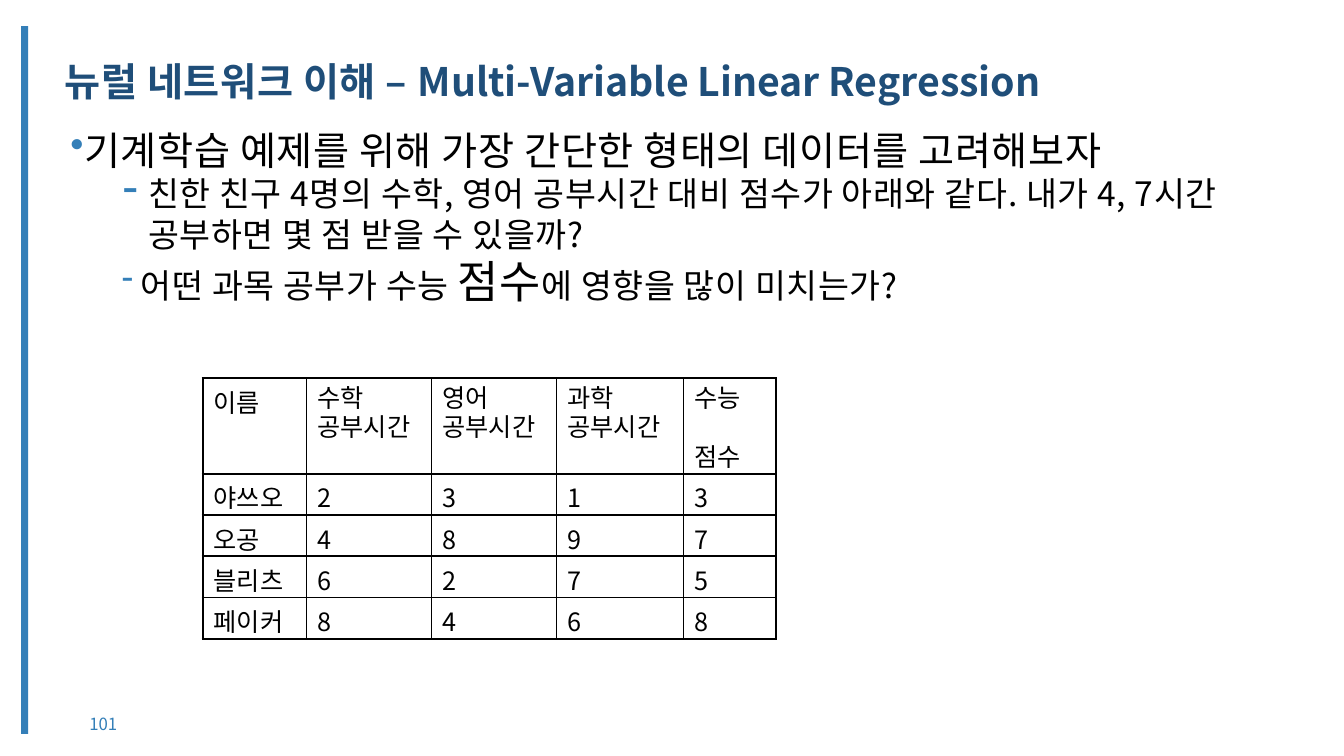
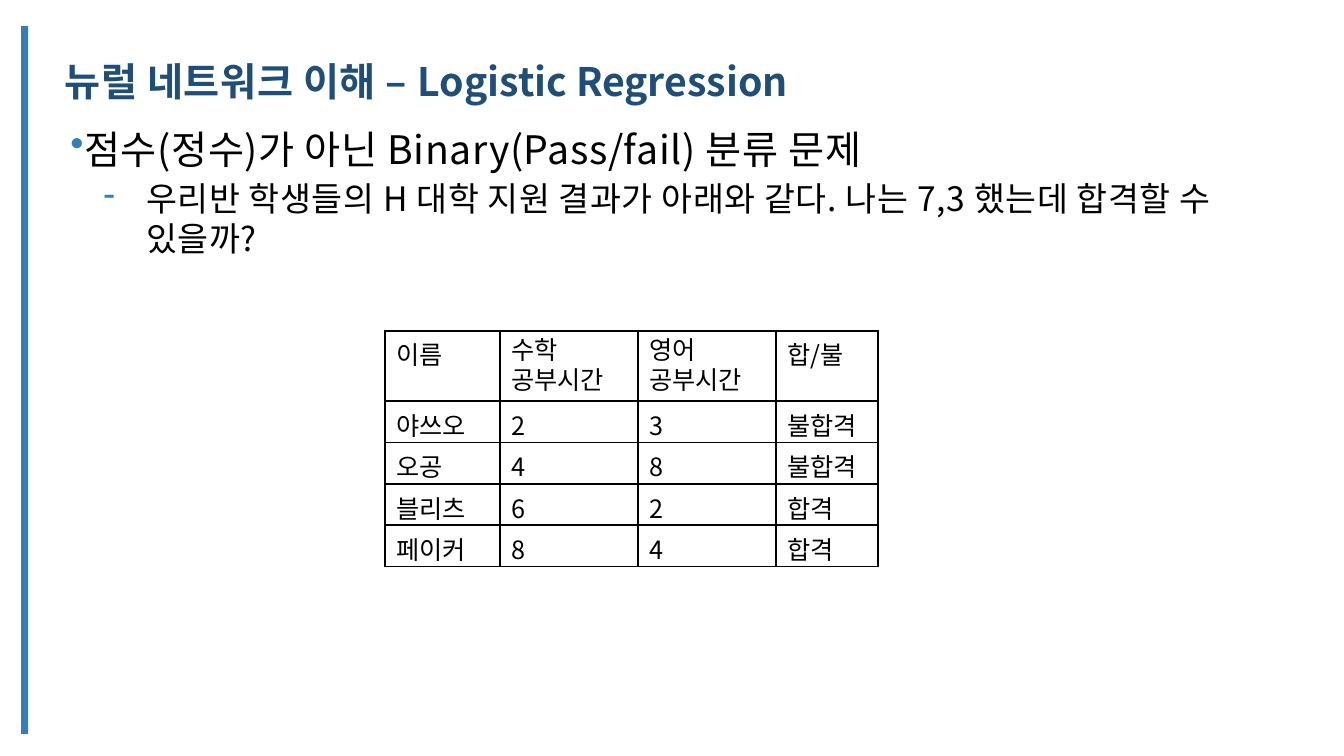
from dataclasses import dataclass

from lxml.etree import SubElement
from pptx import Presentation
from pptx.dml.color import RGBColor
from pptx.enum.shapes import MSO_SHAPE
from pptx.enum.text import MSO_ANCHOR, PP_ALIGN
from pptx.oxml.ns import qn
from pptx.util import Pt

EMU_PER_PX = 9144


@dataclass(frozen=True)
class Theme:
    """Colours, font and type sizes shared by the slides."""

    font: str = "Noto Sans CJK KR"
    accent: str = "347FB8"
    title: str = "1F4E79"
    ink: str = "000000"
    title_size: int = 28
    topic_size: int = 28
    detail_size: int = 24
    emphasis_size: int = 32
    table_size: int = 18
    number_size: int = 12
    border_width: float = 1.5
    tracking: int = 45


THEME = Theme()


def px(*lengths):
    """Turn px lengths into a list of EMU."""
    return [length * EMU_PER_PX for length in lengths]


def write_text(paragraph, text, size, color=THEME.ink, bold=False, spacing=0):
    """Add formatted text to a paragraph, breaking lines at newlines."""
    for index, line in enumerate(text.split("\n")):
        if index:
            paragraph.add_line_break()
        if not line:
            continue
        run = paragraph.add_run()
        run.text = line
        run.font.size = Pt(size)
        run.font.bold = bold
        run.font.name = THEME.font
        run.font.color.rgb = RGBColor.from_string(color)
        properties = run.font._element
        SubElement(properties, qn("a:ea"), typeface=THEME.font)
        if spacing:
            properties.set("spc", str(spacing))


def add_text_box(slide, box, margins, anchor=MSO_ANCHOR.TOP):
    """Add a wrapping text box and return its text frame."""
    frame = slide.shapes.add_textbox(*px(*box)).text_frame
    frame.word_wrap = True
    frame.vertical_anchor = anchor
    horizontal, vertical = px(*margins)
    frame.margin_left = frame.margin_right = horizontal
    frame.margin_top = frame.margin_bottom = vertical
    return frame


def set_bullet(paragraph, character, left, hanging, percent=100, tab=None):
    """Give a paragraph a coloured bullet with a hanging indent."""
    properties = paragraph._p.get_or_add_pPr()
    margin, indent = px(left, -hanging)
    properties.set("marL", str(margin))
    properties.set("indent", str(indent))
    color = SubElement(properties, qn("a:buClr"))
    SubElement(color, qn("a:srgbClr"), val=THEME.accent)
    SubElement(properties, qn("a:buSzPct"), val=str(percent * 1000))
    SubElement(properties, qn("a:buChar"), char=character)
    if tab:
        tabs = SubElement(properties, qn("a:tabLst"))
        SubElement(tabs, qn("a:tab"), pos=str(px(tab)[0]), algn="l")


def add_topic(frame, text):
    """Write the main bullet of a body."""
    paragraph = frame.paragraphs[0]
    set_bullet(paragraph, "•", left=1, hanging=25, tab=51)
    write_text(paragraph, text, THEME.topic_size, spacing=THEME.tracking)


def add_detail(frame, parts, space_before=0.2, **bullet):
    """Add a dash bullet made of (text, size) parts."""
    paragraph = frame.add_paragraph()
    set_bullet(paragraph, "-", **bullet)
    paragraph.space_before = Pt(space_before)
    for text, size in parts:
        write_text(paragraph, text, size, spacing=THEME.tracking)


def set_borders(cell):
    """Draw a solid line on each side of a cell."""
    properties = cell._tc.get_or_add_tcPr()
    for side in ("lnL", "lnR", "lnT", "lnB"):
        line = SubElement(properties, qn(f"a:{side}"), w=str(Pt(THEME.border_width)))
        fill = SubElement(line, qn("a:solidFill"))
        SubElement(fill, qn("a:srgbClr"), val=THEME.ink)


def fill_cell(cell, text):
    """Write and outline one table cell."""
    set_borders(cell)
    cell.fill.background()
    multiline = "\n" in text
    cell.margin_left, cell.margin_top = px(11, 7 if multiline else 5)
    cell.margin_right = cell.margin_bottom = 0
    paragraph = cell.text_frame.paragraphs[0]
    if multiline:
        paragraph.line_spacing = Pt(21.1)
    write_text(paragraph, text, THEME.table_size)


def add_score_table(slide, left, top, widths, rows):
    """Add a bordered table with a tall header row."""
    heights = [70] + [41] * (len(rows) - 1)
    box = px(left, top, sum(widths), sum(heights))
    table = slide.shapes.add_table(len(rows), len(widths), *box).table
    table.first_row = table.horz_banding = False
    for column, width in zip(table.columns, px(*widths)):
        column.width = width
    for row, height, texts in zip(table.rows, px(*heights), rows):
        row.height = height
        for cell, text in zip(row.cells, texts):
            fill_cell(cell, text)


def add_base_slide(presentation, subject):
    """Add a blank slide with the side bar and title."""
    slide = presentation.slides.add_slide(presentation.slide_layouts[6])
    bar = slide.shapes.add_shape(MSO_SHAPE.RECTANGLE, *px(21, 26, 7, 702))
    bar.shadow.inherit = False
    bar.fill.solid()
    bar.fill.fore_color.rgb = RGBColor.from_string(THEME.accent)
    bar.line.fill.background()
    title = add_text_box(slide, (60, 58, 1225, 88), (4, 4)).paragraphs[0]
    title.line_spacing = 0.9
    style = {"size": THEME.title_size, "color": THEME.title, "bold": True}
    write_text(title, "뉴럴 네트워크 이해 – ", spacing=THEME.tracking, **style)
    write_text(title, subject, **style)
    return slide


def add_page_number(slide, number):
    """Add the page number at the lower left."""
    frame = add_text_box(slide, (60, 709, 85, 18), (10, 5), MSO_ANCHOR.MIDDLE)
    paragraph = frame.paragraphs[0]
    paragraph.alignment = PP_ALIGN.CENTER
    write_text(paragraph, str(number), THEME.number_size, THEME.accent)


def build_linear_slide(presentation):
    """Build the multi-variable linear regression slide."""
    slide = add_base_slide(presentation, "Multi-Variable Linear Regression")
    add_page_number(slide, 101)
    body = add_text_box(slide, (60, 120, 1225, 589), (10, 5))
    add_topic(body, "기계학습 예제를 위해 가장 간단한 형태의 데이터를 고려해보자")
    question = (
        "친한 친구 4명의 수학, 영어 공부시간 대비 점수가 아래와 같다. "
        "내가 4, 7시간 공부하면 몇 점 받을 수 있을까?"
    )
    add_detail(body, [(question, THEME.detail_size)], left=77, hanging=25, percent=133, tab=77)
    influence = [
        ("어떤 과목 공부가 수능 ", THEME.detail_size),
        ("점수", THEME.emphasis_size),
        ("에 영향을 많이 미치는가?", THEME.detail_size),
    ]
    add_detail(body, influence, left=70, hanging=19, tab=70)
    rows = [
        ("이름", "수학\n공부시간", "영어\n공부시간", "과학\n공부시간", "수능\n\n점수"),
        ("야쓰오", "2", "3", "1", "3"),
        ("오공", "4", "8", "9", "7"),
        ("블리츠", "6", "2", "7", "5"),
        ("페이커", "8", "4", "6", "8"),
    ]
    add_score_table(slide, 201, 375, (103, 124, 124, 126, 92), rows)


def build_logistic_slide(presentation):
    """Build the logistic regression slide."""
    slide = add_base_slide(presentation, "Logistic Regression")
    body = add_text_box(slide, (60, 119, 1225, 589), (10, 5))
    add_topic(body, "점수(정수)가 아닌 Binary(Pass/fail) 분류 문제")
    question = "우리반 학생들의 H 대학 지원 결과가 아래와 같다. 나는 7,3 했는데 합격할 수 있을까?"
    add_detail(body, [(question, THEME.detail_size)], space_before=4.2, left=75, hanging=42)
    rows = [
        ("이름", "수학\n공부시간", "영어\n공부시간", "합/불"),
        ("야쓰오", "2", "3", "불합격"),
        ("오공", "4", "8", "불합격"),
        ("블리츠", "6", "2", "합격"),
        ("페이커", "8", "4", "합격"),
    ]
    add_score_table(slide, 382, 328, (114, 137, 137, 101), rows)


def main():
    """Build and save the presentation."""
    presentation = Presentation()
    presentation.slide_width, presentation.slide_height = px(1333, 750)
    build_linear_slide(presentation)
    build_logistic_slide(presentation)
    presentation.save("out.pptx")


if __name__ == "__main__":
    main()
